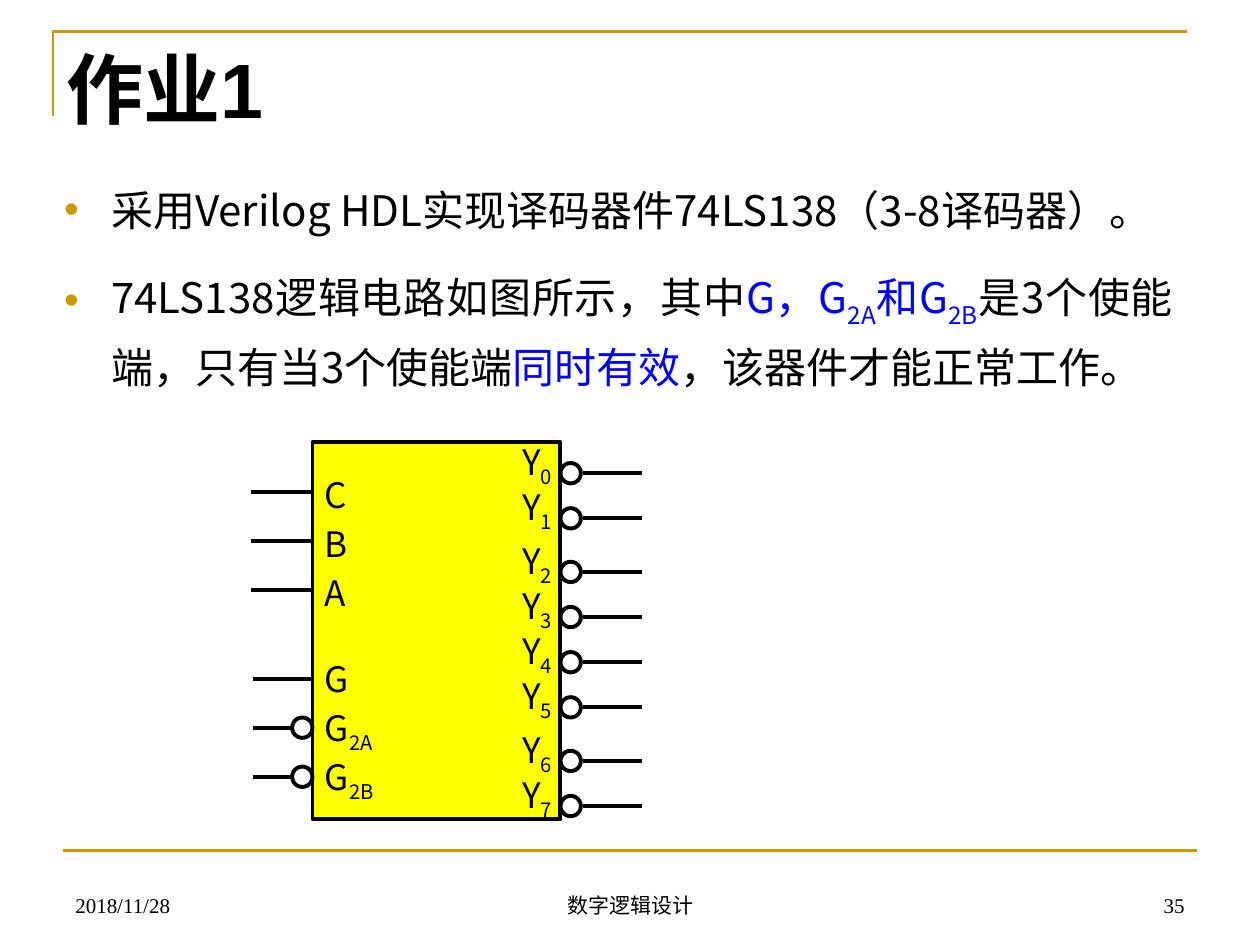
from lxml import etree
from pptx import Presentation
from pptx.dml.color import RGBColor
from pptx.enum.shapes import MSO_CONNECTOR, MSO_SHAPE
from pptx.enum.text import MSO_ANCHOR, MSO_AUTO_SIZE, PP_ALIGN
from pptx.oxml.ns import qn
from pptx.util import Cm, Pt

LEFT, CENTER, RIGHT, JUSTIFY = PP_ALIGN.LEFT, PP_ALIGN.CENTER, PP_ALIGN.RIGHT, PP_ALIGN.JUSTIFY
TOP, BOTTOM = MSO_ANCHOR.TOP, MSO_ANCHOR.BOTTOM
STRAIGHT = MSO_CONNECTOR.STRAIGHT
SANS, SERIF = "Noto Sans CJK SC", "Times New Roman"
BLACK, BLUE, GOLD, YELLOW = "000000", "0000FF", "CC9900", "FFFF00"

# Content: each span is (text, colour, is subscript)
TITLE = "作业1"
BULLETS = [
    [("采用Verilog HDL实现译码器件74LS138（3-8译码器）。", BLACK, False)],
    [("74LS138逻辑电路如图所示，其中", BLACK, False),
     ("G，G", BLUE, False), ("2A", BLUE, True),
     ("和G", BLUE, False), ("2B", BLUE, True),
     ("是3个使能端，只有当3个使能端", BLACK, False),
     ("同时有效", BLUE, False),
     ("，该器件才能正常工作。", BLACK, False)],
]
FOOTER = [  # text, left, width, alignment
    ("2018/11/28", 1.27, 5.92, LEFT),
    ("数字逻辑设计", 8.69, 8.05, CENTER),
    ("35", 18.21, 5.92, RIGHT),
]
# Input groups: first label top, wire offset, wire left, pins (letter, subscript, inverted)
INPUT_GROUPS = [
    (9.42, 0.5, 5.05, [("C", "", False), ("B", "", False), ("A", "", False)]),
    (13.13, 0.55, 5.11, [("G", "", False), ("G", "2A", True), ("G", "2B", True)]),
]
OUTPUT_COUNT = 8
GAP_BEFORE = (2, 6)  # outputs preceded by a wider gap

# Diagram measures in centimetres
CHIP_LEFT, CHIP_TOP, CHIP_WIDTH, CHIP_HEIGHT = 6.3, 8.92, 5, 7.59
CHIP_RIGHT = CHIP_LEFT + CHIP_WIDTH
BUBBLE = 0.41
INPUT_STEP, OUTPUT_STEP, OUTPUT_GAP = 0.99, 0.91, 0.17
OUTPUT_TOP, OUTPUT_WIRE = 8.76, 0.78
LABEL_HEIGHT = 1.12

deck = Presentation()
deck.slide_width, deck.slide_height = Cm(25.4), Cm(19.05)
page = deck.slides.add_slide(deck.slide_layouts[1])


def color(value):
    return RGBColor.from_string(value)


def place(box, left, top, width, height):
    values = dict(left=left, top=top, width=width, height=height)
    for name, value in values.items():
        setattr(box, name, Cm(value))


def prepare(box, anchor=TOP):
    frame = box.text_frame
    values = dict(word_wrap=True, auto_size=MSO_AUTO_SIZE.NONE, vertical_anchor=anchor)
    for name, value in values.items():
        setattr(frame, name, value)
    return frame


def write(para, spans, size, font=SANS, align=LEFT, bold=False):
    para.alignment = align
    for text, tint, is_subscript in spans:
        span = para.add_run()
        span.text = text
        for name, value in dict(name=font, size=Pt(size), bold=bold).items():
            setattr(span.font, name, value)
        span.font.color.rgb = color(tint)
        properties = span._r.get_or_add_rPr()
        etree.SubElement(properties, qn("a:ea"), typeface=SANS)
        if is_subscript:
            properties.set("baseline", "-25000")


def add_text(spans, left, top, width, height, size, font=SANS, align=LEFT, anchor=TOP):
    box = page.shapes.add_textbox(Cm(left), Cm(top), Cm(width), Cm(height))
    write(prepare(box, anchor).paragraphs[0], spans, size, font, align)


def add_bullet(para):
    properties = para._p.get_or_add_pPr()
    properties.set("marL", str(Cm(0.95)))
    properties.set("indent", str(-Cm(0.95)))
    tint = etree.SubElement(properties, qn("a:buClr"))
    etree.SubElement(tint, qn("a:srgbClr"), val=GOLD)
    etree.SubElement(properties, qn("a:buFont"), typeface="Arial")
    etree.SubElement(properties, qn("a:buChar"), char="•")


def outline(shape, fill=None, line=BLACK, weight=2.25):
    shape.shadow.inherit = False
    if fill:
        shape.fill.solid()
        shape.fill.fore_color.rgb = color(fill)
    else:
        shape.fill.background()
    shape.line.color.rgb = color(line)
    shape.line.width = Pt(weight)


def add_wire(start, end, height, line=BLACK, weight=2.25):
    wire = page.shapes.add_connector(STRAIGHT, Cm(start), Cm(height), Cm(end), Cm(height))
    wire.line.color.rgb = color(line)
    wire.line.width = Pt(weight)
    etree.SubElement(wire._element.spPr, qn("a:effectLst"))


def add_bubble(left, middle):
    outline(page.shapes.add_shape(MSO_SHAPE.OVAL, Cm(left), Cm(middle - BUBBLE / 2),
                                  Cm(BUBBLE), Cm(BUBBLE)))


# Frame lines
builder = page.shapes.build_freeform(Cm(1.07), Cm(2.34))
builder.add_line_segments([(Cm(1.07), Cm(0.64)), (Cm(23.93), Cm(0.64))], close=False)
outline(builder.convert_to_shape(), line=GOLD, weight=1.5)
add_wire(1.27, 24.13, 17.15, GOLD, 1.5)

# Title and bullet list
title = page.shapes.title
place(title, 1.09, 0.71, 24.3, 2.11)
write(prepare(title).paragraphs[0], [(TITLE, BLACK, False)], 44, "Arial", bold=True)

body = page.placeholders[1]
place(body, 1.04, 3.33, 22.86, 4.6)
frame = prepare(body)
for index, spans in enumerate(BULLETS):
    para = frame.add_paragraph() if index else frame.paragraphs[0]
    para.line_spacing, para.space_before = Pt(36), Pt(18)
    add_bullet(para)
    write(para, spans, 24, align=JUSTIFY)

# Decoder chip
outline(page.shapes.add_shape(MSO_SHAPE.RECTANGLE, Cm(CHIP_LEFT), Cm(CHIP_TOP),
                              Cm(CHIP_WIDTH), Cm(CHIP_HEIGHT)), YELLOW)

# Input pins
for first_top, wire_offset, wire_left, pins in INPUT_GROUPS:
    for index, (letter, subscript, inverted) in enumerate(pins):
        top = first_top + index * INPUT_STEP
        middle = top + wire_offset
        spans = [(letter, BLACK, False)]
        if subscript:
            spans.append((subscript, BLACK, True))
        add_text(spans, CHIP_LEFT, top, 1.8 if subscript else 1.2, LABEL_HEIGHT, 20)
        wire_right = CHIP_LEFT
        if inverted:
            wire_right -= BUBBLE
            add_bubble(wire_right, middle)
        add_wire(wire_left, wire_right, middle)

# Inverted output pins
for index in range(OUTPUT_COUNT):
    gaps = sum(index >= start for start in GAP_BEFORE)
    top = OUTPUT_TOP + index * OUTPUT_STEP + gaps * OUTPUT_GAP
    middle = top + OUTPUT_WIRE
    add_text([("Y", BLACK, False), (str(index), BLACK, True)],
             10.13, top, 1.4, LABEL_HEIGHT, 20, align=CENTER)
    add_bubble(CHIP_RIGHT, middle)
    add_wire(CHIP_RIGHT + BUBBLE + 0.04, 12.95, middle)

# Footer
for text, left, width, align in FOOTER:
    add_text([(text, BLACK, False)], left, 17.35, width, 1.27, 12, SERIF, align, BOTTOM)

deck.save("out.pptx")
